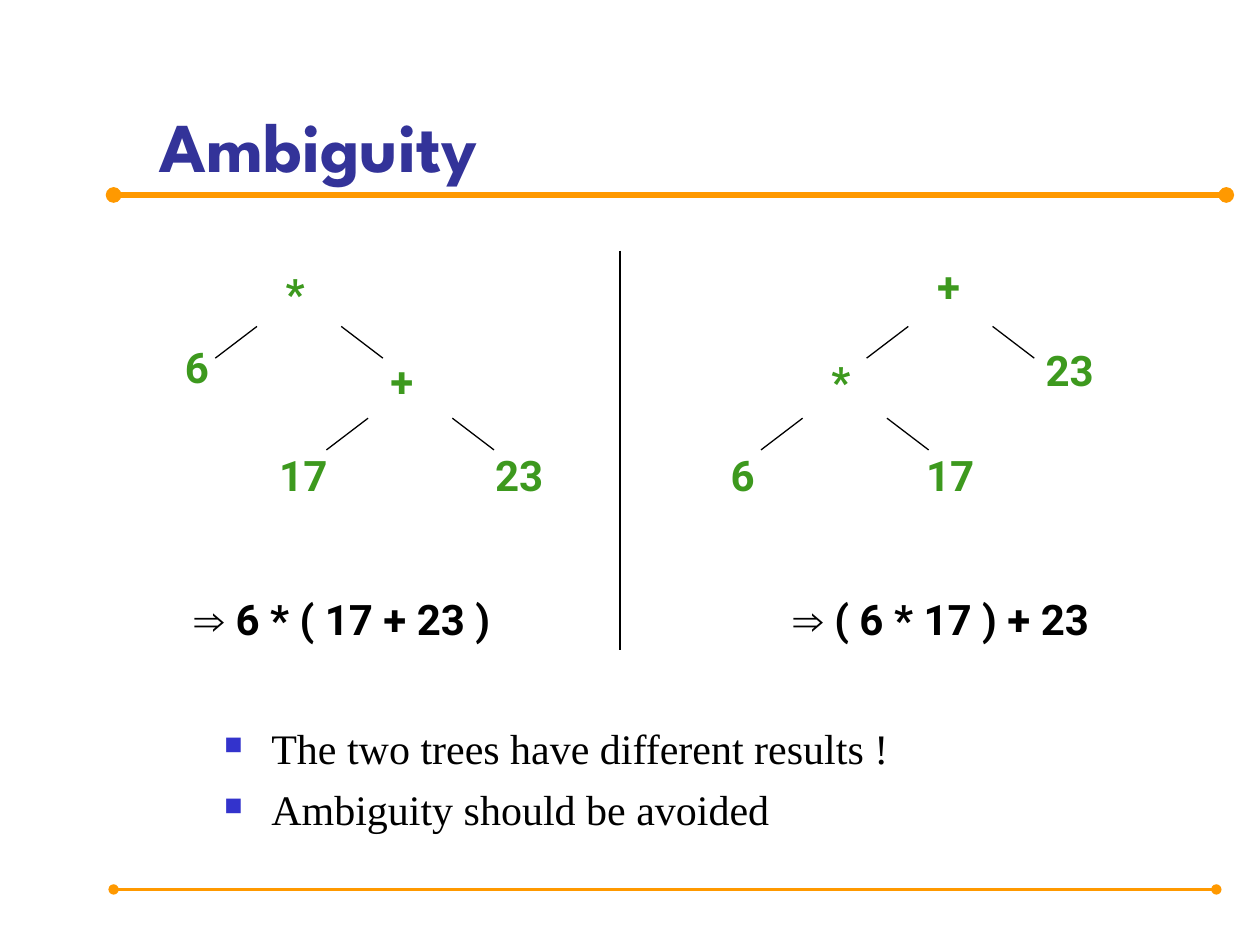
from dataclasses import dataclass

from pptx import Presentation
from pptx import util as u
from pptx.dml.color import RGBColor
from pptx.enum import shapes, text
from pptx.oxml import ns, xmlchemy

Cm, Pt = u.Cm, u.Pt


@dataclass(frozen=True)
class Theme:
    rule: str = "FF9900"
    title: str = "333399"
    node: str = "3D991E"
    ink: str = "000000"
    bullet: str = "3333CC"
    title_font: str = "League Spartan"
    tree_font: str = "Roboto"
    arrow_font: str = "Arial"
    body_font: str = "Times New Roman"
    title_size: int = 40
    text_size: int = 24


THEME = Theme()


@dataclass(frozen=True)
class Box:
    left: float
    top: float
    width: float
    height: float

    def inner(self, left, top, width, height):
        return Box(self.left + left, self.top + top, width, height)


def add_element(parent, tag, **attributes):
    child = xmlchemy.OxmlElement(tag)
    for name, value in attributes.items():
        child.set(name, value)
    parent.append(child)
    return child


def add_line(page, start, end, color=THEME.ink, weight=0.75, dots=False):
    line = page.shapes.add_connector(
        shapes.MSO_CONNECTOR.STRAIGHT, *(Cm(value) for value in (*start, *end)))
    line.line.color.rgb = RGBColor.from_string(color)
    line.line.width = Pt(weight)
    properties = line._element.spPr
    if dots:
        outline = properties.find(ns.qn("a:ln"))
        for tag in ("a:headEnd", "a:tailEnd"):
            add_element(outline, tag, type="oval")
    add_element(properties, "a:effectLst")


def add_frame(page, box, wrap=True):
    label = page.shapes.add_textbox(
        Cm(box.left), Cm(box.top), Cm(box.width), Cm(box.height))
    frame = label.text_frame
    frame.word_wrap = wrap
    if not wrap:
        frame.auto_size = text.MSO_AUTO_SIZE.SHAPE_TO_FIT_TEXT
    return frame


def add_span(para, words, font, color=THEME.ink, size=THEME.text_size, bold=True):
    span = para.add_run()
    span.text = words
    span.font.name = font
    span.font.size = Pt(size)
    span.font.bold = bold
    span.font.color.rgb = RGBColor.from_string(color)


def add_title(page, box, words):
    frame = add_frame(page, box)
    frame.vertical_anchor = text.MSO_ANCHOR.BOTTOM
    add_span(frame.paragraphs[0], words, THEME.title_font, THEME.title, THEME.title_size)


def add_rules(page, box):
    """Heavy rule on the top edge, thin and slightly shorter one at the bottom."""
    right, bottom = box.left + box.width, box.top + box.height
    add_line(page, (box.left, box.top), (right, box.top), THEME.rule, 3, True)
    add_line(page, (box.left, bottom), (right - 0.2, bottom), THEME.rule, 1.5, True)


def add_tree(page, box, nodes, forks, result, result_left):
    # Branches: each fork opens evenly on both sides of its centre
    for center, top in forks:
        x, y = box.left + center, box.top + top
        for side in (-1, 1):
            add_line(page, (x + side * 0.85, y), (x + side * 1.69, y + 0.64))
    # Operators and operands
    for words, left, top in nodes:
        width = 0.5 + 0.49 * len(words)
        frame = add_frame(page, box.inner(left, top, width, 1.27), wrap=False)
        add_span(frame.paragraphs[0], words, THEME.tree_font, THEME.node)
    # Resulting expression
    frame = add_frame(page, box.inner(result_left, 6.71, 6.65, 1.27), wrap=False)
    para = frame.paragraphs[0]
    add_span(para, "⇒", THEME.arrow_font)
    add_span(para, " " + result, THEME.tree_font)


def add_bullets(page, box, lines):
    frame = add_frame(page, box)
    for index, words in enumerate(lines):
        para = frame.add_paragraph() if index else frame.paragraphs[0]
        para.space_before = Pt(6)
        layout = para._p.get_or_add_pPr()
        layout.set("marL", str(Cm(0.95)))
        layout.set("indent", str(-Cm(0.95)))
        color = add_element(layout, "a:buClr")
        add_element(color, "a:srgbClr", val=THEME.bullet)
        add_element(layout, "a:buSzPct", val="60000")
        add_element(layout, "a:buChar", char="■")
        add_span(para, words, THEME.body_font, bold=False)


def main():
    deck = Presentation()
    deck.slide_width, deck.slide_height = Cm(25.4), Cm(19.05)
    page = deck.slides.add_slide(deck.slide_layouts[6])

    add_rules(page, Box(2.29, 3.93, 22.43, 14))
    add_title(page, Box(2.97, 0.71, 21.87, 3.18), "Ambiguity")

    # Two readings of the same expression, with a divider between them
    add_tree(page, Box(3.48, 5.13, 8, 8),
             nodes=[("*", 2.03, 0.13), ("+", 4.14, 1.91), ("6", 0, 1.63),
                    ("17", 1.9, 3.81), ("23", 6.25, 3.81)],
             forks=[(2.55, 1.45), (4.79, 3.3)],
             result="6 * ( 17 + 23 )", result_left=0.2)
    add_tree(page, Box(14.48, 5.13, 8, 8),
             nodes=[("+", 4.16, 0), ("*", 2.03, 1.91), ("23", 6.35, 1.7),
                    ("6", 0, 3.81), ("17", 3.94, 3.81)],
             forks=[(4.68, 1.45), (2.55, 3.3)],
             result="( 6 * 17 ) + 23", result_left=1.27)
    add_line(page, (12.5, 5.05), (12.5, 13.11))

    add_bullets(page, Box(4.27, 14.45, 17.58, 2.79),
                ["The two trees have different results !",
                 "Ambiguity should be avoided"])
    deck.save("out.pptx")


if __name__ == "__main__":
    main()
